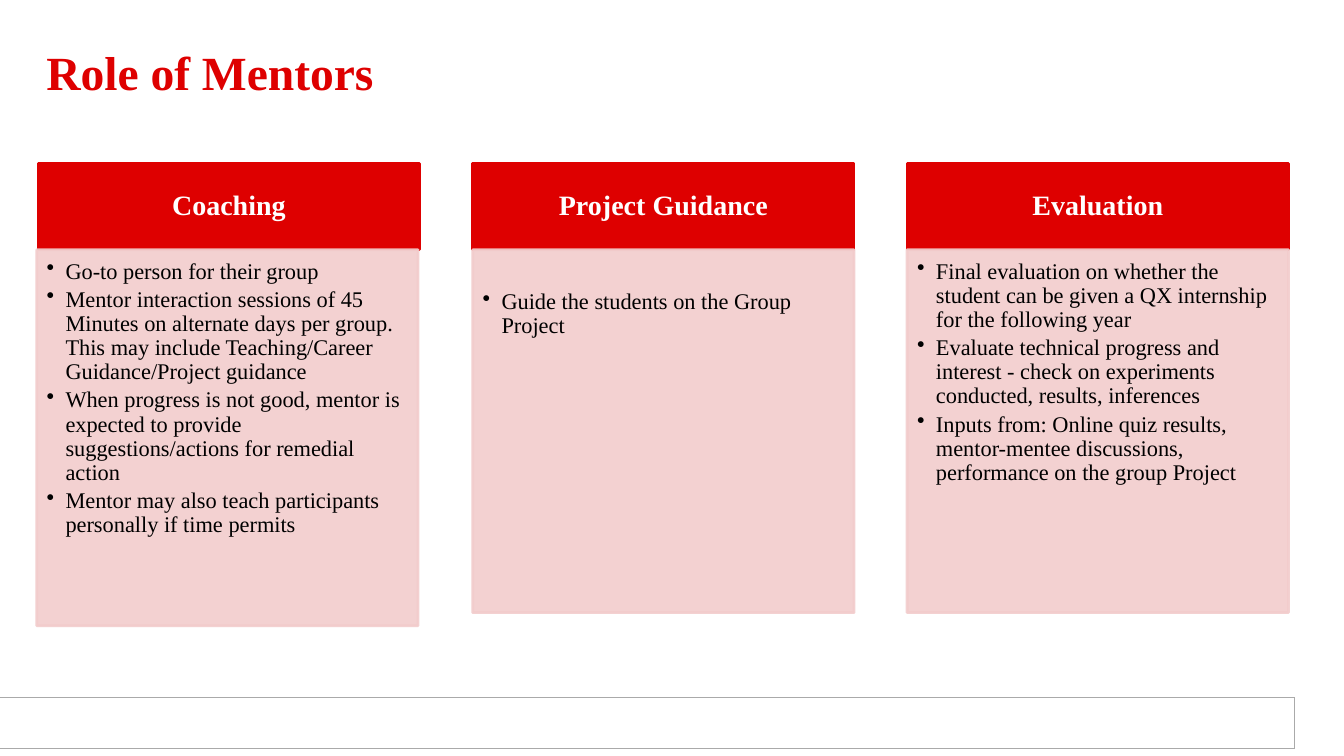
import pptx
import pptx.util
import pptx.dml.color
import pptx.enum.shapes
import pptx.enum.text
import pptx.oxml.ns
from lxml import etree

Pt = pptx.util.Pt
RGB = pptx.dml.color.RGBColor
SHAPE = pptx.enum.shapes.MSO_SHAPE
ALIGN = pptx.enum.text.PP_ALIGN
ANCHOR = pptx.enum.text.MSO_ANCHOR
qn = pptx.oxml.ns.qn

RED = RGB(0xDE, 0x00, 0x00)
PINK = RGB(0xF2, 0xCC, 0xCC)
GREY = RGB(0xAA, 0xAA, 0xAA)
WHITE = RGB(0xFF, 0xFF, 0xFF)
BLACK = RGB(0x00, 0x00, 0x00)

TITLE_FONT = {"size": Pt(34), "bold": True, "color": RED}
HEAD_FONT = {"size": Pt(20), "bold": True, "color": WHITE}
BODY_FONT = {"size": Pt(16), "bold": False, "color": BLACK}


def add_box(left, top, width, height, color, line=True):
    s = slide.shapes.add_shape(SHAPE.RECTANGLE, Pt(left), Pt(top), Pt(width), Pt(height))
    s.shadow.inherit = False
    s.fill.solid()
    s.fill.fore_color.rgb = color
    if line:
        s.line.color.rgb = color
        s.line.width = Pt(2)
    else:
        s.line.fill.background()
    return s


def write(tf, lines, font, anchor, insets, para):
    tf.word_wrap = True
    tf.vertical_anchor = anchor
    for side, inset in zip(("left", "top", "right", "bottom"), insets):
        setattr(tf, "margin_" + side, Pt(inset))
    for i, line in enumerate(lines):
        p = tf.paragraphs[0] if i == 0 else tf.add_paragraph()
        for name, value in para.items():
            setattr(p, name, value)
        r = p.add_run()
        r.text = line
        r.font.name = "Times New Roman"
        for name, value in font.items():
            if name == "color":
                r.font.color.rgb = value
            else:
                setattr(r.font, name, value)


prs = pptx.Presentation()
prs.slide_width, prs.slide_height = Pt(960), Pt(540)
slide = prs.slides.add_slide(prs.slide_layouts[6])

# Footer frame, open on the left
add_box(4.3, 498.2, 918, 36, WHITE, line=False)
for x1, y1, x2, y2 in ((0, 535, 924.5, 535), (0, 498.2, 924.5, 498.2), (924.5, 535, 924.5, 498.2)):
    c = slide.shapes.add_connector(
        pptx.enum.shapes.MSO_CONNECTOR.STRAIGHT, Pt(x1), Pt(y1), Pt(x2), Pt(y2))
    c.line.color.rgb = GREY
    c.line.width = Pt(0.75)
    etree.SubElement(c.element.spPr, qn("a:effectLst"))

# Title
s = slide.shapes.add_textbox(Pt(26), Pt(25.2), Pt(877), Pt(61.2))
write(s.text_frame, ["Role of Mentors"], TITLE_FONT, ANCHOR.MIDDLE,
      (7.2, 3.6, 7.2, 3.6), {"alignment": ALIGN.LEFT, "line_spacing": 0.75})

# Columns: heading, left shift of the body, body height, top inset, bullets
columns = [
    ("Coaching", 1.1, 268.6, 7.2, [
        "Go-to person for their group",
        "Mentor interaction sessions of 45 Minutes on alternate days per group. "
        "This may include Teaching/Career Guidance/Project guidance",
        "When progress is not good, mentor is expected to provide "
        "suggestions/actions for remedial action",
        "Mentor may also teach participants personally if time permits"]),
    ("Project Guidance", 0, 259.2, 28.8, [
        "Guide the students on the Group Project"]),
    ("Evaluation", 0, 259.2, 7.2, [
        "Final evaluation on whether the student can be given a QX internship "
        "for the following year",
        "Evaluate technical progress and interest - check on experiments "
        "conducted, results, inferences",
        "Inputs from: Online quiz results, mentor-mentee discussions, "
        "performance on the group Project"]),
]
LEFT, PITCH, WIDTH = 27.36, 310.32, 272.4
HEAD_TOP, HEAD_HEIGHT, BODY_TOP = 117, 61.4, 178.4

for i, (heading, shift, height, inset, bullets) in enumerate(columns):
    left = LEFT + i * PITCH
    head = add_box(left, HEAD_TOP, WIDTH, HEAD_HEIGHT, RED)
    write(head.text_frame, [heading], HEAD_FONT, ANCHOR.MIDDLE, (10, 5.8, 10, 5.8),
          {"alignment": ALIGN.CENTER, "line_spacing": 0.9})

    body = add_box(left - shift, BODY_TOP, WIDTH, height, PINK)
    for clr in body.element.spPr.iter(qn("a:srgbClr")):
        etree.SubElement(clr, qn("a:alpha"), val="90000")
    write(body.text_frame, bullets, BODY_FONT, ANCHOR.TOP, (7.2, inset, 10, 11.5),
          {"alignment": ALIGN.LEFT, "line_spacing": 0.9, "space_after": Pt(2.8), "level": 1})
    for p in body.text_frame.paragraphs:
        pPr = p._p.get_or_add_pPr()
        pPr.set("marL", str(Pt(13.5)))
        pPr.set("indent", str(Pt(-13.5)))
        etree.SubElement(pPr, qn("a:buChar"), char="•")

prs.save("out.pptx")
